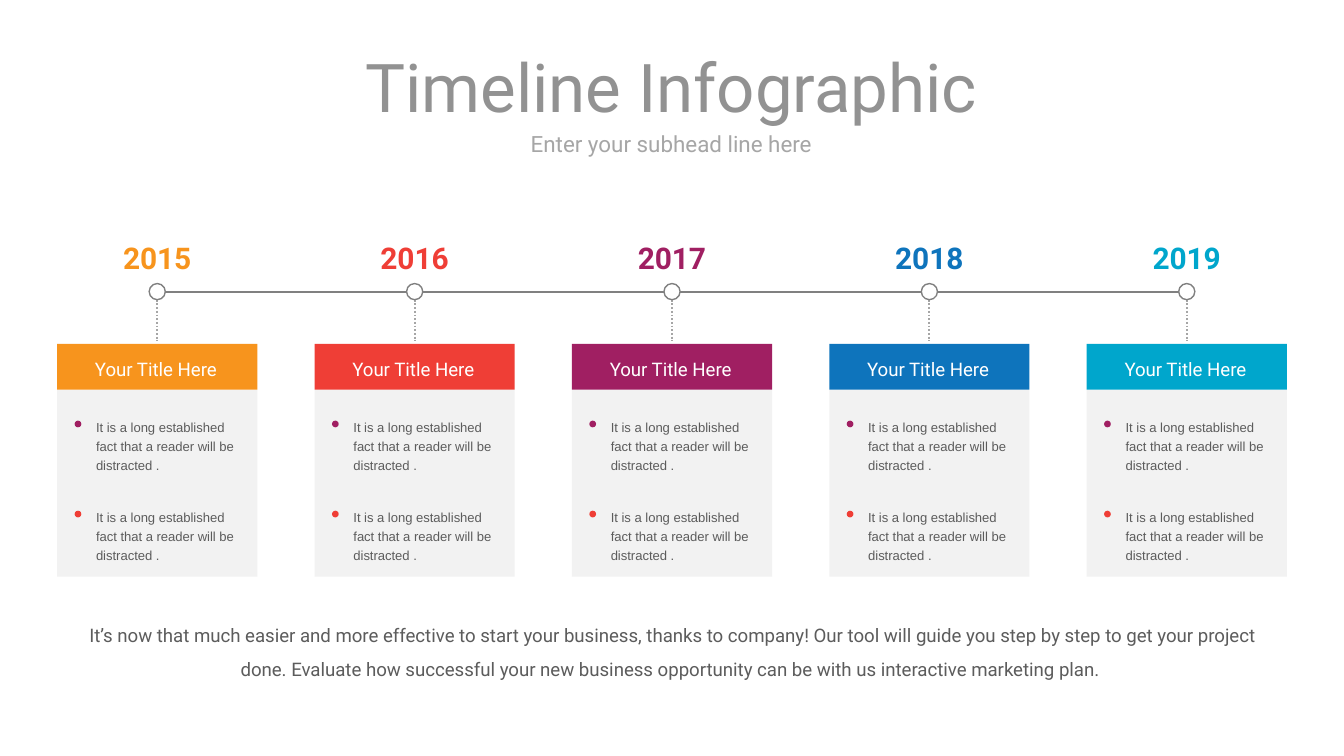
"""Build a five-year timeline slide with a card under each year."""
from lxml import etree
from pptx import Presentation
from pptx.dml.color import RGBColor
from pptx.enum.dml import MSO_LINE
from pptx.enum.shapes import MSO_CONNECTOR, MSO_SHAPE
from pptx.enum.text import MSO_ANCHOR, PP_ALIGN
from pptx.oxml.ns import qn
from pptx.util import Inches, Pt

LEFT, CENTER = PP_ALIGN.LEFT, PP_ALIGN.CENTER
TOP, MIDDLE = MSO_ANCHOR.TOP, MSO_ANCHOR.MIDDLE
RECT, OVAL = MSO_SHAPE.RECTANGLE, MSO_SHAPE.OVAL
STRAIGHT = MSO_CONNECTOR.STRAIGHT
SOLID, DOTTED = MSO_LINE.SOLID, MSO_LINE.ROUND_DOT

WIDTH = 10
FIRST, LAST = 1.17, 8.83
CARD, LABEL, RING = 1.49, 0.93, 0.12
YEARS = [("2015", "F7941D"), ("2016", "EF3E36"), ("2017", "A01F62"),
         ("2018", "0E74BC"), ("2019", "00A6CC")]
STEP = (LAST - FIRST) / (len(YEARS) - 1)
POINTS = [(3.1, "A01F62"), (3.77, "EF3E36")]
POINT = "It is a long established fact that a reader will be distracted ."
CLOSING = ("It’s now that much easier and more effective to start your business, "
           "thanks to company! Our tool will guide you step by step to get your "
           "project done. Evaluate how successful your new business opportunity "
           "can be with us interactive marketing plan. ")

paint = RGBColor.from_string
deck = Presentation()
deck.slide_width, deck.slide_height = Inches(WIDTH), Inches(WIDTH * 9 / 16)
slide = deck.slides.add_slide(deck.slide_layouts[6])
shapes = slide.shapes


def write(text, left, top, width, height, size, color, font="Roboto",
          bold=False, align=CENTER, anchor=MIDDLE, space=1.0, wrap=True):
    box = shapes.add_textbox(Inches(left), Inches(top), Inches(width), Inches(height))
    frame = box.text_frame
    frame.margin_left = frame.margin_right = 0
    frame.margin_top = frame.margin_bottom = 0
    frame.word_wrap, frame.vertical_anchor = wrap, anchor
    para = frame.paragraphs[0]
    para.alignment, para.line_spacing = align, space
    run = para.add_run()
    run.text = text
    run.font.name, run.font.size, run.font.bold = font, Pt(size), bold
    run.font.color.rgb = paint(color)


def draw(kind, left, top, width, height, fill, edge=None):
    shape = shapes.add_shape(kind, Inches(left), Inches(top), Inches(width), Inches(height))
    shape.shadow.inherit = False
    shape.fill.solid()
    shape.fill.fore_color.rgb = paint(fill)
    if edge:
        shape.line.color.rgb = paint(edge)
        shape.line.width = Pt(0.75)
    else:
        shape.line.fill.background()


write("Enter your subhead line here", 0.42, 0.97, 9.15, 0.19, 12, "A6A6A6", wrap=False)
write("Timeline Infographic", 0.42, 0.37, 9.15, 0.54, 36, "929292")

mids = [FIRST + STEP * i for i in range(len(YEARS))]
lines = [(FIRST + RING / 2, 2.17, LAST - RING / 2, 2.17, "808080", SOLID)]
lines += [(mid, 2.23, mid, 2.54, "A6A6A6", DOTTED) for mid in mids]
for x1, y1, x2, y2, color, dash in lines:
    line = shapes.add_connector(STRAIGHT, Inches(x1), Inches(y1), Inches(x2), Inches(y2))
    line.line.color.rgb = paint(color)
    line.line.width = Pt(1)
    line.line.dash_style = dash
    etree.SubElement(line._element.spPr, qn("a:effectLst"))

for mid, (year, color) in zip(mids, YEARS):
    draw(OVAL, mid - RING / 2, 2.11, RING, RING, "FFFFFF", edge="808080")
    write(year, mid - LABEL / 2, 1.74, LABEL, 0.3, 16, color, bold=True, space=1.2)
    edge = mid - CARD / 2
    draw(RECT, edge, 2.9, CARD, 1.39, "F2F2F2")
    draw(RECT, edge, 2.56, CARD, 0.34, color)
    write("Your Title Here", mid - LABEL / 2 - 0.01, 2.63, LABEL, 0.2, 10, "FFFFFF",
          space=1.2, wrap=False)
    for top, dot in POINTS:
        draw(OVAL, edge + 0.13, top + 0.03, 0.05, 0.05, dot)
        write(POINT, edge + 0.29, top, 1.07, 0.42, 7, "5C5C5C", font="Arial",
              align=LEFT, space=1.2)

write(CLOSING, 0.54, 4.56, 8.92, 0.48, 10, "5C5C5C", anchor=TOP, space=1.5)
deck.save("out.pptx")
